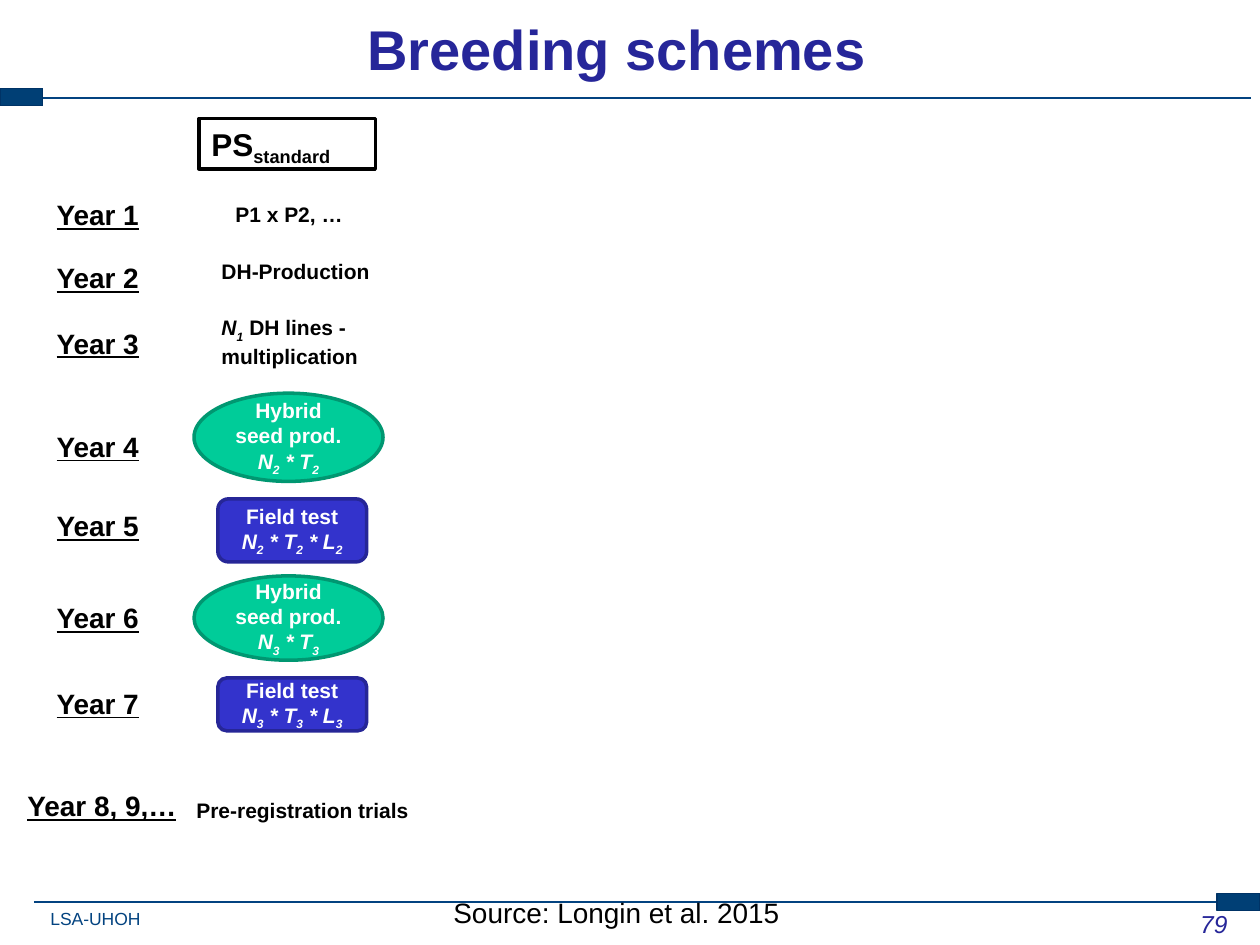
from lxml import etree
from pptx import Presentation
from pptx.dml.color import RGBColor
from pptx.enum.shapes import MSO_CONNECTOR, MSO_SHAPE
from pptx.enum.text import MSO_ANCHOR, MSO_AUTO_SIZE, PP_ALIGN
from pptx.oxml.ns import qn
from pptx.util import Pt

LEFT, CENTER, RIGHT = PP_ALIGN.LEFT, PP_ALIGN.CENTER, PP_ALIGN.RIGHT
TOP, MIDDLE = MSO_ANCHOR.TOP, MSO_ANCHOR.MIDDLE
NO_AUTOFIT = MSO_AUTO_SIZE.NONE
STRAIGHT = MSO_CONNECTOR.STRAIGHT
RECT, ELLIPSE, ROUNDED = MSO_SHAPE.RECTANGLE, MSO_SHAPE.OVAL, MSO_SHAPE.ROUNDED_RECTANGLE

FONT = "Arial"
BLACK, WHITE = "000000", "FFFFFF"
TITLE_BLUE, RULE_BLUE = "262699", "034380"
BLOCK_BLUE, BLOCK_EDGE = "003F75", "003366"
SEED_GREEN, SEED_EDGE = "00CC99", "009771"
FIELD_BLUE, FIELD_EDGE = "3333CC", "262697"


def color(hex_value):
    return RGBColor.from_string(hex_value)


def points(box):
    return [Pt(value) for value in box]


def write(frame, lines, size, ink=BLACK, align=LEFT, anchor=TOP,
          bold=True, underline=False):
    """Fill a frame; a line is a string or a list of (text, italic, subscript)."""
    frame.auto_size = NO_AUTOFIT
    frame.vertical_anchor = anchor
    for number, line in enumerate(lines):
        paragraph = frame.paragraphs[0] if number == 0 else frame.add_paragraph()
        paragraph.alignment = align
        pieces = [(line, False, False)] if isinstance(line, str) else line
        for text, italic, subscript in pieces:
            run = paragraph.add_run()
            run.text = text
            font = run.font
            font.name, font.size = FONT, Pt(size)
            font.bold, font.italic, font.underline = bold, italic, underline
            font.color.rgb = color(ink)
            if subscript:
                run._r.get_or_add_rPr().set("baseline", "-25000")


def add_label(slide, box, line, size, wrap=True, inset=None, **style):
    frame = slide.shapes.add_textbox(*points(box)).text_frame
    frame.word_wrap = wrap
    if inset is not None:
        frame.margin_left = frame.margin_right = Pt(inset)
        frame.margin_top = frame.margin_bottom = Pt(inset)
    write(frame, [line], size, **style)


def add_block(slide, preset, box, fill, edge, edge_width):
    block = slide.shapes.add_shape(preset, *points(box))
    block.shadow.inherit = False
    block.fill.solid()
    block.fill.fore_color.rgb = color(fill)
    block.line.color.rgb = color(edge)
    block.line.width = Pt(edge_width)
    return block


def add_rule(slide, left, right, y):
    rule = slide.shapes.add_connector(STRAIGHT, *points((left, y, right, y)))
    rule.line.color.rgb = color(RULE_BLUE)
    rule.line.width = Pt(1)
    etree.SubElement(rule._element.spPr, qn("a:effectLst"))


def formula(symbols, stage):
    """Product of the symbols, each with the stage as its subscript."""
    pieces = []
    for number, symbol in enumerate(symbols):
        pieces.append((" * " + symbol if number else symbol, True, False))
        pieces.append((stage, True, True))
    return pieces


def add_header(slide, box):
    left, top, width, height = box
    add_rule(slide, left + 22.3, left + width - 5, top + 56.2)
    add_block(slide, RECT, (left, top + 50.4, 24.5, 10.1), BLOCK_BLUE, BLOCK_EDGE, 0.75)
    title = slide.shapes.title
    title.left, title.top, title.width, title.height = points(
        (left - 14.4, top - 7.9, width + 13.7, height))
    write(title.text_frame, ["Breeding schemes"], 32, TITLE_BLUE, CENTER, MIDDLE)


def add_footer(slide, box):
    left, top, width, height = box
    add_rule(slide, left + 19.4, left + width - 7.2, top + 5.1)
    add_block(slide, RECT, (left + width - 24.5, top, 24.5, 10.1),
              BLOCK_BLUE, BLOCK_EDGE, 0.75)
    add_label(slide, (left + 28.8, top + 8.6, 52, 12.2), "LSA-UHOH", 10,
              wrap=False, inset=0, ink=RULE_BLUE, bold=False)
    add_label(slide, (left + width - 161.3, top + 5.8, 149.8, height),
              [("79", True, False)], 14, ink=TITLE_BLUE, align=RIGHT, bold=False)
    add_label(slide, (left + 252, top - 2.2, 207.4, 26.6),
              "Source: Longin et al. 2015", 16, wrap=False, bold=False)


def add_years(slide, box):
    left, top, width, height = box
    offsets = (0, 36, 73.4, 132.5, 177.8, 230.4, 279.4)
    for year, offset in enumerate(offsets, start=1):
        add_label(slide, (left + 16.6, top + offset, 82, 26.6),
                  f"Year {year}", 16, underline=True)
    add_label(slide, (left, top + height - 26.6, width, 26.6),
              "Year 8, 9,…", 16, underline=True)


def add_scheme(slide, box):
    left, top, width, height = box

    # Scheme name
    name = add_block(slide, RECT, (left + 8.6, top, 100.8, 28.8), WHITE, BLACK, 2)
    write(name.text_frame, [[("PS", False, False), ("standard", False, True)]], 18)

    # Crossing and line development
    lines = [("N", True, False), ("1", True, True),
             (" DH lines - multiplication", False, False)]
    for x, y, w, h, step in ((22.3, 43.9, 85, 21.6, "P1 x P2, …"),
                             (14.4, 76.3, 108, 21.6, "DH-Production"),
                             (14.4, 108.7, 96.5, 36, lines)):
        add_label(slide, (left + x, top + y, w, h), step, 12)

    # Seed production and field test, once per selection stage
    for stage, seed_y, seed_h, field_y, field_h in (("2", 157, 50.4, 217.4, 36),
                                                    ("3", 261.4, 48.2, 319.7, 30.2)):
        seed = add_block(slide, ELLIPSE, (left + 5.8, top + seed_y, 108, seed_h),
                         SEED_GREEN, SEED_EDGE, 2)
        write(seed.text_frame, ["Hybrid seed prod.", formula("NT", stage)],
              12, WHITE, CENTER, MIDDLE)
        field = add_block(slide, ROUNDED, (left + 19.4, top + field_y, 85, field_h),
                          FIELD_BLUE, FIELD_EDGE, 2)
        write(field.text_frame, ["Field test", formula("NTL", stage)],
              12, WHITE, CENTER, MIDDLE)

    # Final trials
    add_label(slide, (left, top + height - 21.6, width, 21.6),
              "Pre-registration trials", 12)


def main():
    presentation = Presentation()
    presentation.slide_width, presentation.slide_height = Pt(720), Pt(540)
    slide = presentation.slides.add_slide(presentation.slide_layouts[5])
    add_header(slide, (0, 0, 720, 71.3))
    add_footer(slide, (0, 510.4, 720, 36))
    add_years(slide, (8.6, 109.4, 113, 364.3))
    add_scheme(slide, (105.1, 67.7, 144.7, 406.1))
    presentation.save("out.pptx")


if __name__ == "__main__":
    main()
